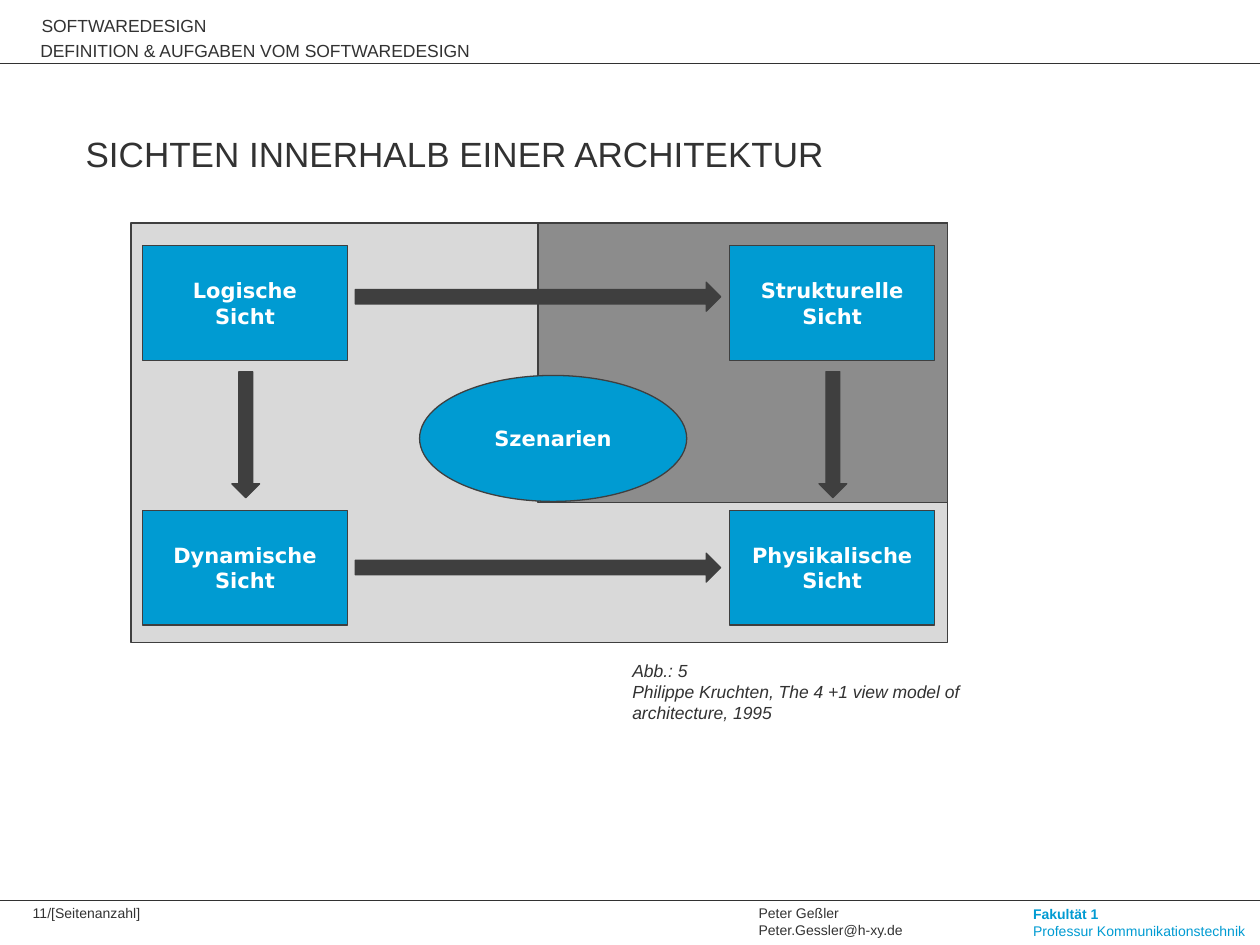
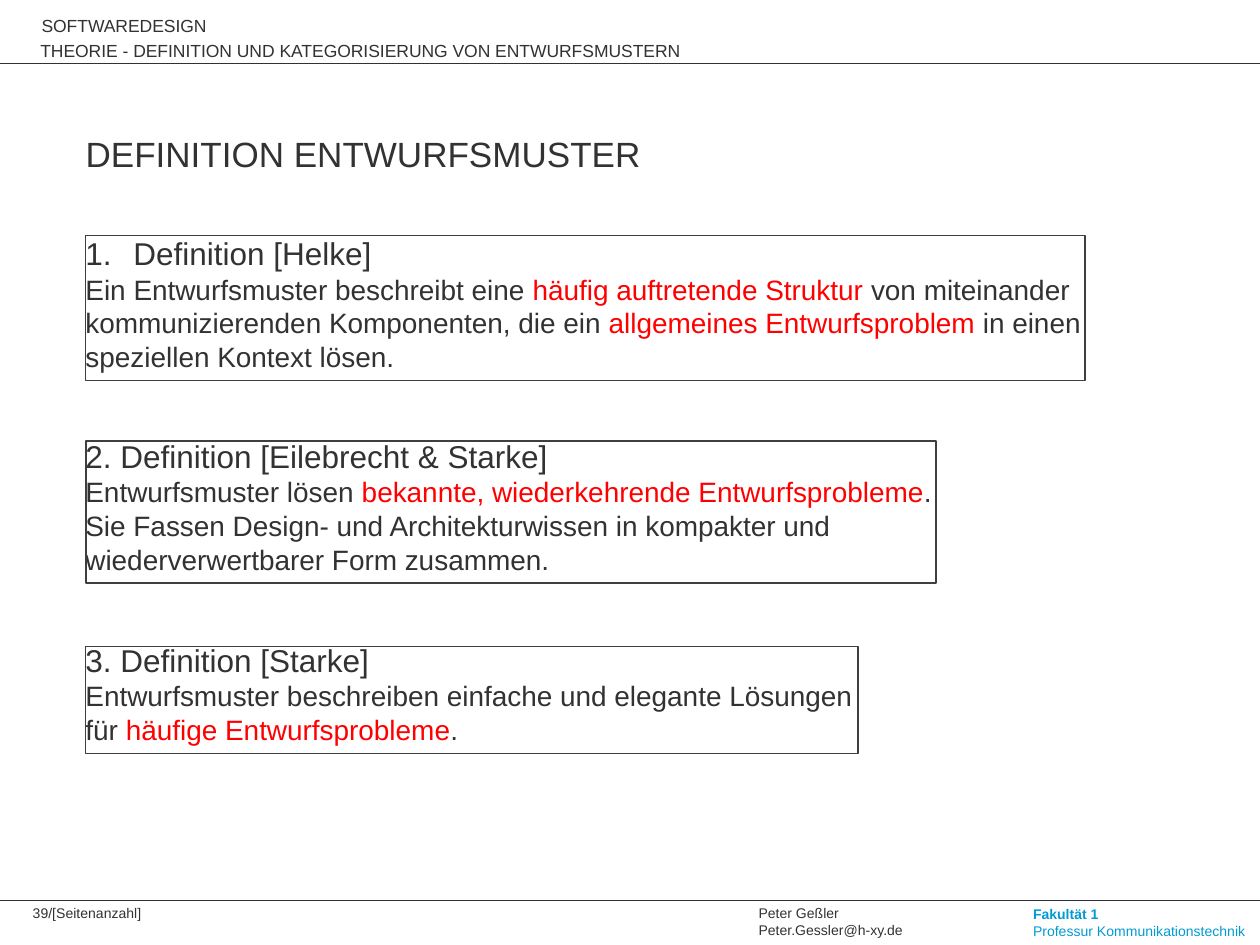
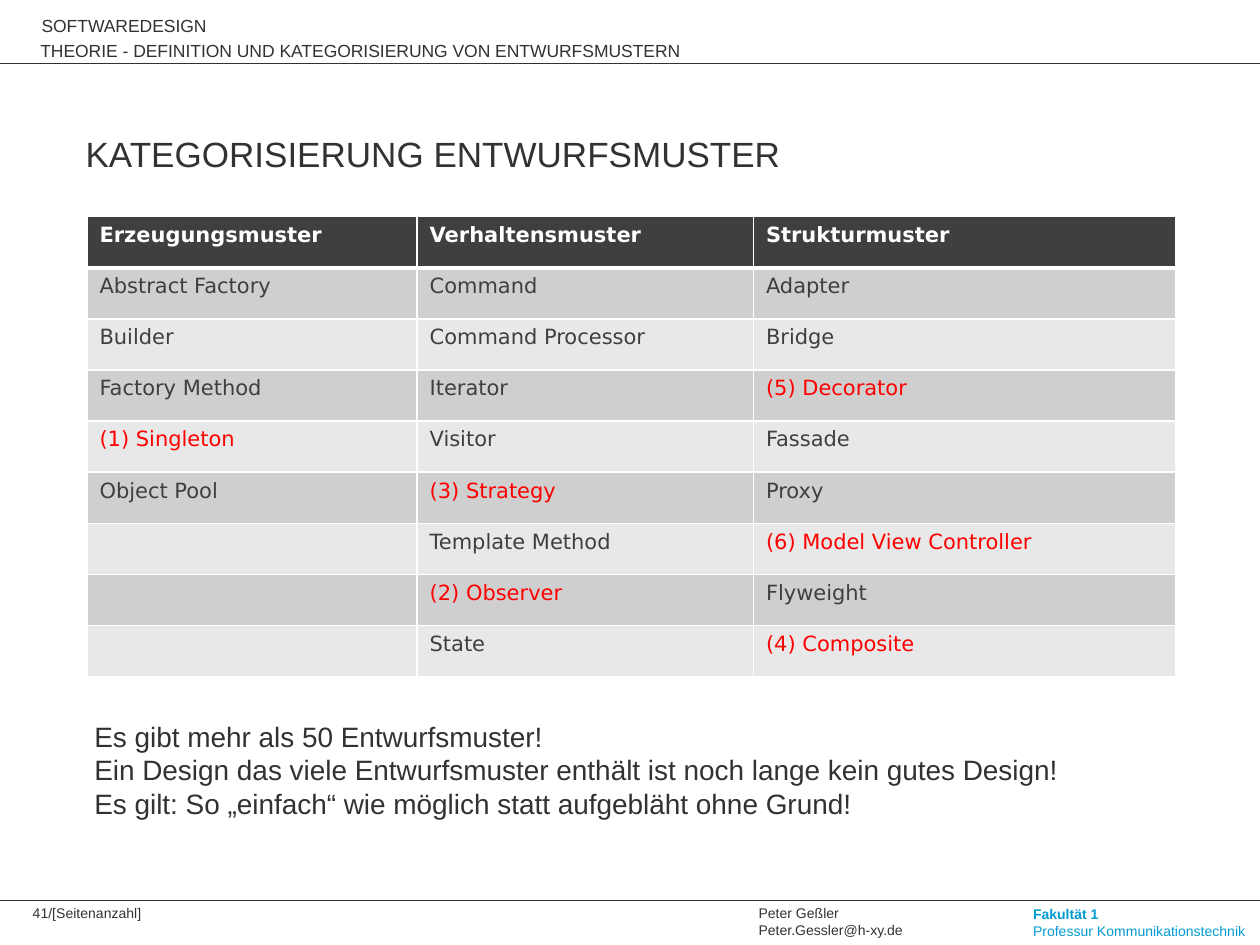
"""Build three lecture slides on software design views and design patterns."""

import dataclasses

import lxml.etree
import pptx
import pptx.dml.color
import pptx.enum.shapes
import pptx.enum.text
import pptx.oxml.ns
import pptx.util

Inches = pptx.util.Inches
Pt = pptx.util.Pt
Color = pptx.dml.color.RGBColor.from_string
Preset = pptx.enum.shapes.MSO_SHAPE
Align = pptx.enum.text.PP_ALIGN
Anchor = pptx.enum.text.MSO_ANCHOR
qn = pptx.oxml.ns.qn


@dataclasses.dataclass(frozen=True)
class Theme:
    ink: str = "323232"
    dark: str = "3F3F3F"
    blue: str = "009BD2"
    red: str = "FF0000"
    white: str = "FFFFFF"
    light_area: str = "D9D9D9"
    dark_area: str = "8C8C8C"
    bands: tuple = ("E8E8E8", "CFCFCF")
    text_font: str = "Arial"
    diagram_font: str = "DejaVu Sans"
    title: int = 20
    heading: int = 18
    body: int = 16
    label: int = 12
    small: int = 10
    footer: int = 8


theme = Theme()


def write(frame, lines, size, color=theme.ink, first=None, align=None, **extra):
    """Write lines of text, where *stars* mark red words and first formats line one."""
    for number, line in enumerate(lines):
        para = frame.paragraphs[0] if number == 0 else frame.add_paragraph()
        para.alignment = align
        values = {"name": theme.text_font, "size": Pt(size), **extra}
        if number == 0:
            values.update(first or {})
        for index, text in enumerate(line.split("*")):
            if not text:
                continue
            span = para.add_run()
            span.text = text
            for key, value in values.items():
                setattr(span.font, key, value)
            span.font.color.rgb = Color(theme.red if index % 2 else color)


def draw(page, place, preset=None, fill=None, weight=0.75, inset=None, wrap=True):
    """Add a text box, or a preset shape with a dark outline."""
    place = [Inches(length) for length in place]
    if preset is None:
        box = page.shapes.add_textbox(*place)
    else:
        box = page.shapes.add_shape(preset, *place)
        box.shadow.inherit = False
        box.line.color.rgb = Color(theme.dark)
        box.line.width = Pt(weight)
        if fill:
            box.fill.solid()
            box.fill.fore_color.rgb = Color(fill)
        else:
            box.fill.background()
    box.text_frame.word_wrap = wrap
    if inset is not None:
        for side, length in zip(("left", "top", "right", "bottom"), inset):
            setattr(box.text_frame, f"margin_{side}", Inches(length))
    return box


deck = pptx.Presentation()
deck.slide_width = Inches(10)
deck.slide_height = Inches(7.5)

patterns_chapter = "THEORIE - DEFINITION UND KATEGORISIERUNG VON ENTWURFSMUSTERN"
slides = [
    (11, "DEFINITION & AUFGABEN VOM SOFTWAREDESIGN", "SICHTEN INNERHALB EINER ARCHITEKTUR"),
    (39, patterns_chapter, "DEFINITION ENTWURFSMUSTER"),
    (41, patterns_chapter, "KATEGORISIERUNG ENTWURFSMUSTER"),
]
flush = (0, 0, 0, 0)
pages = []
for number, chapter, title in slides:
    page = deck.slides.add_slide(deck.slide_layouts[6])
    pages.append(page)
    for height in (0.5, 7.15):
        rule = page.shapes.add_connector(
            pptx.enum.shapes.MSO_CONNECTOR.STRAIGHT, 0, Inches(height), deck.slide_width, Inches(height)
        )
        rule.line.color.rgb = Color(theme.ink)
        rule.line.width = Pt(0.5)
        lxml.etree.SubElement(rule._element.spPr, qn("a:effectLst"))
    faculty = draw(page, (8.1, 7.14, 1.91, 0.37), wrap=False)
    write(faculty.text_frame, ["Fakultät 1", "Professur Kommunikationstechnik"],
          theme.footer, theme.blue, first={"bold": True})
    for place, lines, size in [
        ((0.26, 7.18, 5.71, 0.23), [f"{number}/[Seitenanzahl]"], theme.footer),
        ((6.02, 7.18, 2.08, 0.23), ["Peter Geßler", "Peter.Gessler@h-xy.de"], theme.footer),
        ((0.33, 0.12, 7.72, 0.33), ["SOFTWAREDESIGN"], theme.small),
        ((0.32, 0.32, 7.76, 0.16), [chapter], theme.small),
    ]:
        write(draw(page, place, inset=flush).text_frame, lines, size)
    heading = draw(page, (0.68, 1, 8.64, 0.7), inset=(0, 0.05, 0.1, 0.05))
    write(heading.text_frame, [title], theme.title)
    heading.text_frame.paragraphs[0].space_before = Pt(1.5)

views_page, definitions_page, categories_page = pages

draw(views_page, (1.04, 1.77, 6.48, 3.33), Preset.RECTANGLE, theme.light_area)
draw(views_page, (4.27, 1.77, 3.25, 2.22), Preset.RECTANGLE, theme.dark_area)
left, right, upper, lower = 1.13, 5.79, 1.95, 4.05
views = [
    (Preset.RECTANGLE, (left, upper, 1.63, 0.91), ["Logische", "Sicht"]),
    (Preset.RECTANGLE, (right, upper, 1.63, 0.91), ["Strukturelle", "Sicht"]),
    (Preset.RECTANGLE, (left, lower, 1.63, 0.91), ["Dynamische", "Sicht"]),
    (Preset.RECTANGLE, (right, lower, 1.63, 0.91), ["Physikalische", "Sicht"]),
    (Preset.OVAL, (3.33, 2.98, 2.12, 1), ["Szenarien"]),
]
for preset, place, lines in views:
    view = draw(views_page, place, preset, theme.blue)
    view.text_frame.vertical_anchor = Anchor.MIDDLE
    write(view.text_frame, lines, theme.label, theme.white, align=Align.CENTER,
          name=theme.diagram_font, bold=True)
for row in (upper, lower):
    draw(views_page, (2.82, row + 0.29 + 0.05 * (row == lower), 2.9, 0.23), Preset.RIGHT_ARROW, theme.dark)
for column in (left, right):
    draw(views_page, (column + 0.71, 2.95, 0.22, 1), Preset.DOWN_ARROW, theme.dark)
caption = draw(views_page, (4.92, 5.19, 3.37, 0.61))
write(caption.text_frame, ["Abb.: 5", "Philippe Kruchten, The 4 +1 view model of architecture, 1995"],
      theme.small, italic=True)

definitions = [
    (1.81, 1.21, 1.87, 7.93, [
        "Definition [Helke]",
        "Ein Entwurfsmuster beschreibt eine *häufig auftretende Struktur *von miteinander",
        "kommunizierenden Komponenten, die ein *allgemeines Entwurfsproblem *in einen",
        "speziellen Kontext lösen.",
    ]),
    (3.42, 1.21, 3.5, 6.75, [
        "2. Definition [Eilebrecht & Starke]",
        "Entwurfsmuster lösen *bekannte, wiederkehrende Entwurfsprobleme*.",
        "Sie Fassen Design- und Architekturwissen in kompakter und",
        "wiederverwertbarer Form zusammen.",
    ]),
    (5.04, 0.94, 5.13, 6.13, [
        "3. Definition [Starke]",
        "Entwurfsmuster beschreiben einfache und elegante Lösungen",
        "für *häufige Entwurfsprobleme*.",
    ]),
]
for top, height, frame_top, frame_width, lines in definitions:
    definition = draw(definitions_page, (0.58, top, frame_width + 0.25, height), wrap=False)
    write(definition.text_frame, lines, theme.body, first={"size": Pt(theme.heading)})
    if not lines[0][0].isdigit():
        numbering = definition.text_frame.paragraphs[0]._p.get_or_add_pPr()
        numbering.set("marL", str(Inches(0.38)))
        numbering.set("indent", str(-Inches(0.38)))
        lxml.etree.SubElement(numbering, qn("a:buFont"), typeface="+mj-lt")
        lxml.etree.SubElement(numbering, qn("a:buAutoNum"), type="arabicPeriod")
    draw(definitions_page, (0.68, frame_top, frame_width, top + height - frame_top), Preset.RECTANGLE, weight=1)

patterns = [
    ("Erzeugungsmuster", "Verhaltensmuster", "Strukturmuster"),
    ("Abstract Factory", "Command", "Adapter"),
    ("Builder", "Command Processor", "Bridge"),
    ("Factory Method", "Iterator", "(5) Decorator"),
    ("(1) Singleton", "Visitor", "Fassade"),
    ("Object Pool", "(3) Strategy", "Proxy"),
    ("", "Template Method", "(6) Model View Controller"),
    ("", "(2) Observer", "Flyweight"),
    ("", "State", "(4) Composite"),
]
grid = categories_page.shapes.add_table(
    len(patterns), 3, Inches(0.69), Inches(1.72), Inches(8.64), Inches(3.65)
).table
for column, width in zip(grid.columns, (2.62, 2.67, 3.35)):
    column.width = Inches(width)
for row, names in enumerate(patterns):
    for column, name in enumerate(names):
        cell = grid.cell(row, column)
        for side in "LRTB":
            thick = (row, side) in ((0, "B"), (1, "T"))
            border = lxml.etree.SubElement(
                cell._tc.get_or_add_tcPr(), qn(f"a:ln{side}"), w=str(Pt(3 if thick else 1))
            )
            paint = lxml.etree.SubElement(border, qn("a:solidFill"))
            lxml.etree.SubElement(paint, qn("a:srgbClr"), val=theme.white)
        cell.fill.solid()
        cell.fill.fore_color.rgb = Color(theme.bands[row % 2] if row else theme.dark)
        color = theme.white if row == 0 else theme.red if name.startswith("(") else theme.dark
        write(cell.text_frame, [name], theme.label, color, name=theme.diagram_font, bold=row == 0)

remarks = draw(categories_page, (0.65, 5.66, 8.68, 0.91))
write(remarks.text_frame, [
    "Es gibt mehr als 50 Entwurfsmuster!",
    "Ein Design das viele Entwurfsmuster enthält ist noch lange kein gutes Design!",
    "Es gilt: So „einfach“ wie möglich statt aufgebläht ohne Grund!",
], theme.body)

deck.save("out.pptx")
